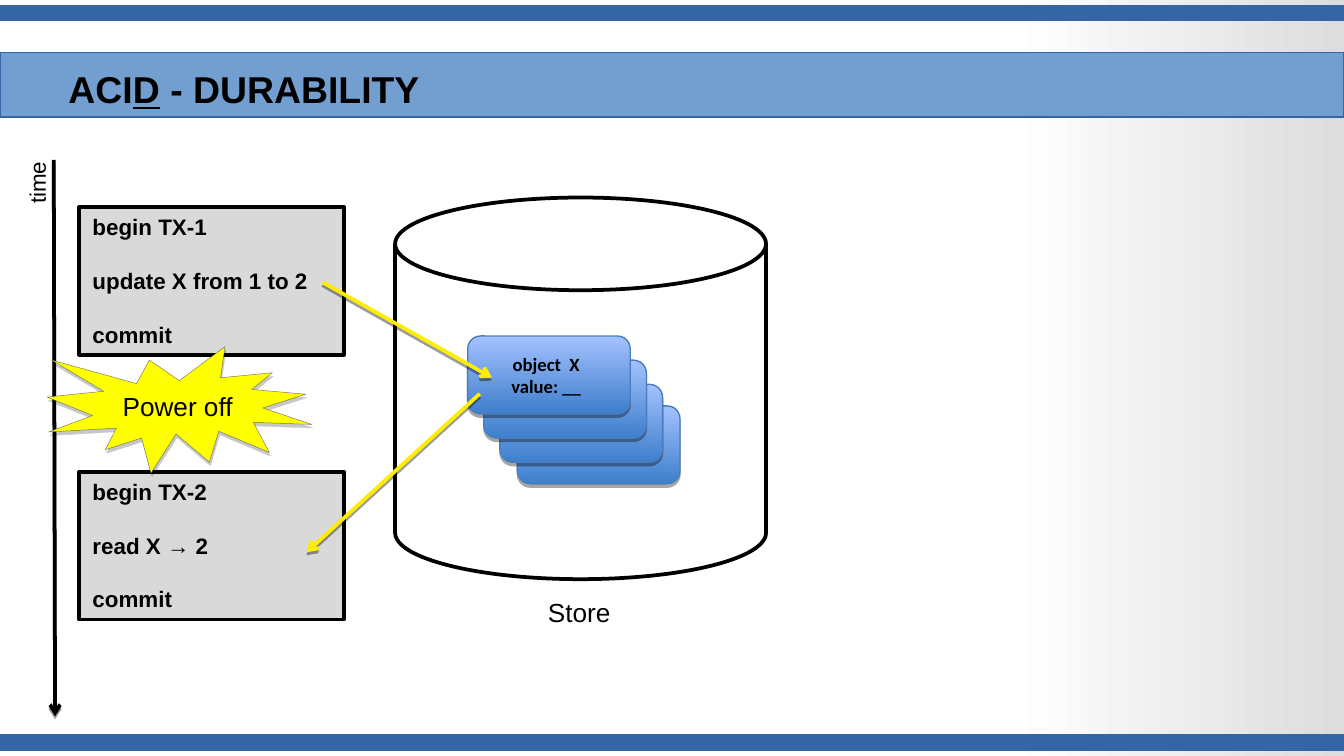
import pptx
import pptx.util
import pptx.oxml
import pptx.oxml.ns
import pptx.dml.color
import pptx.enum.shapes
import pptx.enum.text
from lxml import etree

Inches = pptx.util.Inches
Pt = pptx.util.Pt
RGBColor = pptx.dml.color.RGBColor
KIND = pptx.enum.shapes.MSO_SHAPE
ALIGN = pptx.enum.text.PP_ALIGN
ANCHOR = pptx.enum.text.MSO_ANCHOR
qn = pptx.oxml.ns.qn

BLACK = RGBColor(0, 0, 0)
WHITE = RGBColor(255, 255, 255)
SILVER = RGBColor(0xDD, 0xDD, 0xDD)
GREY = RGBColor(0xD9, 0xD9, 0xD9)
SLATE = RGBColor(0x59, 0x59, 0x59)
NAVY = RGBColor(0x34, 0x65, 0xA4)
SKY = RGBColor(0x72, 0x9F, 0xCF)
DEEP = RGBColor(0x3E, 0x7F, 0xCC)
PALE = RGBColor(0xA4, 0xC1, 0xFF)
RIM = RGBColor(0x4A, 0x7E, 0xBB)
YELLOW = RGBColor(255, 255, 0)
GOLD = RGBColor(0xFF, 0xED, 0)

deck = pptx.Presentation()
deck.slide_width = Inches(10)
deck.slide_height = Inches(10 * 9 / 16)
slide = deck.slides.add_slide(deck.slide_layouts[6])
shapes = slide.shapes


def form(kind, box, fill, edge, width):
    shape = shapes.add_shape(kind, *map(Inches, box))
    shape.shadow.inherit = False
    if fill:
        shape.fill.solid()
        shape.fill.fore_color.rgb = fill
    shape.line.color.rgb = edge
    shape.line.width = Pt(width)
    return shape


def write(shape, lines, size, bold=False, align=ALIGN.LEFT, gap=0, face="Arial"):
    frame = shape.text_frame
    frame.word_wrap = True
    for i, line in enumerate(lines):
        para = frame.add_paragraph() if i else frame.paragraphs[0]
        for j, part in enumerate(line.split("|")):
            run = para.add_run()
            run.text = part
            if j == 1:
                run.font.underline = True
        para.alignment = align
        if i and gap:
            para.space_before = Pt(gap)
        para.font.name = face
        para.font.size = Pt(size)
        para.font.bold = bold
        para.font.color.rgb = BLACK


back = slide.background.fill
back.gradient()
back.gradient_angle = 0
for stop, spot, tint in zip(back.gradient_stops, (0.75, 1), (WHITE, SILVER)):
    stop.position = spot
    stop.color.rgb = tint

for top, tall, fill in ((0.39, 0.48, SKY), (5.47, 0.11, NAVY), (0.04, 0.11, NAVY)):
    form(KIND.RECTANGLE, (0, top, 10, tall), fill, NAVY, 0)

title = shapes.add_textbox(Inches(0.43), Inches(0.35), Inches(7.57), Inches(0.65))
write(title, ["ACI|D| - DURABILITY"], 20, True)
frame = title.text_frame
frame.vertical_anchor = ANCHOR.MIDDLE
frame.margin_left = frame.margin_right = Inches(0.08)
frame.margin_top = frame.margin_bottom = Inches(0.04)
frame.paragraphs[0].line_spacing = 0.95

store = form(KIND.CAN, (2.94, 1.47, 2.76, 2.84), WHITE, BLACK, 2)
store.adjustments[0] = 0.25
label = shapes.add_textbox(Inches(3.56), Inches(4.39), Inches(1.5), Inches(0.33))
write(label, ["Store"], 14, align=ALIGN.CENTER)

shades = []
for left, top in ((3.85, 3.02), (3.72, 2.86), (3.6, 2.68), (3.48, 2.5)):
    card = form(KIND.ROUNDED_RECTANGLE, (left, top, 1.21, 0.58), None, RIM, 0.75)
    card.fill.gradient()
    card.fill.gradient_angle = 90
    for stop, spot, tint in zip(card.fill.gradient_stops, (0, 1), (DEEP, PALE)):
        stop.position = spot
        stop.color.rgb = tint
    shades.append((card, 35, 1.8, 90))
write(card, ["object  X", "value: __"], 10, True, ALIGN.CENTER, face="Calibri")
card.text_frame.margin_right = Inches(0.14)

for top, lines in (
    (1.54, ["begin TX-1", "update X from 1 to 2", "commit"]),
    (3.51, ["begin TX-2", "read X → 2", "commit"]),
):
    block = form(KIND.RECTANGLE, (0.59, top, 1.97, 1.1), GREY, BLACK, 2)
    write(block, lines, 12, True, gap=14.3)
    block.text_frame.vertical_anchor = ANCHOR.TOP

time = shapes.add_textbox(Inches(-0.03), Inches(1.16), Inches(0.61), Inches(0.3))
time.rotation = 270
write(time, ["time"], 12)

for ends, tint in (
    ((0.4, 1.19, 0.41, 5.33), BLACK),
    ((2.4, 2.1, 3.66, 2.81), GOLD),
    ((3.57, 2.93, 2.28, 4.11), GOLD),
):
    arrow = shapes.add_connector(
        pptx.enum.shapes.MSO_CONNECTOR.STRAIGHT, *map(Inches, ends))
    arrow.line.color.rgb = tint
    arrow.line.width = Pt(2)
    props = arrow._element.spPr
    etree.SubElement(props.find(qn("a:ln")), qn("a:tailEnd"), type="arrow")
    etree.SubElement(props, qn("a:effectLst"))
    shades.append((arrow, 38, 1.6, 90))

burst = form(KIND.EXPLOSION1, (0.35, 2.58, 1.97, 0.94), YELLOW, SLATE, 0.25)
write(burst, ["Power off"], 14, align=ALIGN.CENTER)
burst.text_frame.word_wrap = False
burst.text_frame.vertical_anchor = ANCHOR.MIDDLE
edge = burst._element.spPr.find(qn("a:ln")).find(".//" + qn("a:srgbClr"))
etree.SubElement(edge, qn("a:alpha"), val="78000")
shades.append((burst, 22, 2, 74))

for item, alpha, dist, turn in shades:
    glow = item._element.spPr.find(qn("a:effectLst"))
    cast = etree.SubElement(
        glow, qn("a:outerShdw"), blurRad="0", dist=str(Pt(dist)),
        dir=str(turn * 60000), rotWithShape="0")
    dark = etree.SubElement(cast, qn("a:srgbClr"), val=str(BLACK))
    etree.SubElement(dark, qn("a:alpha"), val=str(alpha * 1000))

deck.save("out.pptx")
